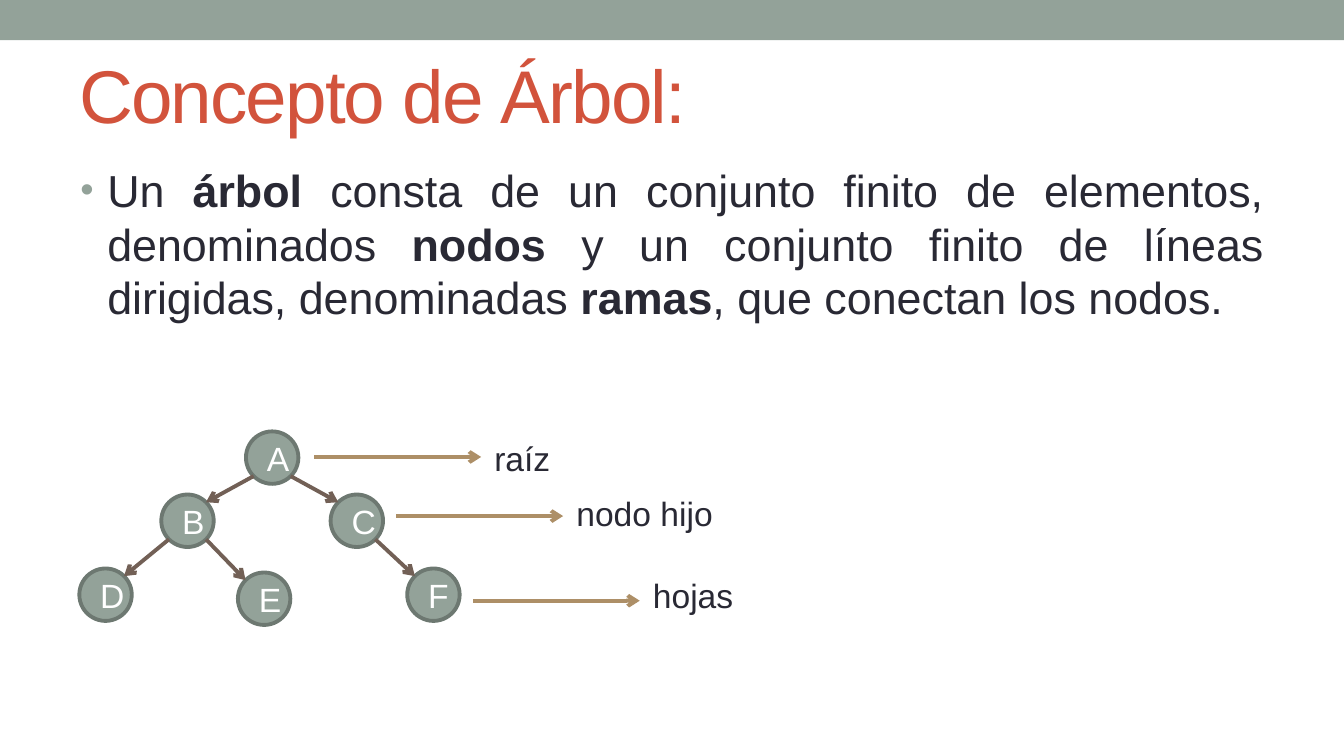
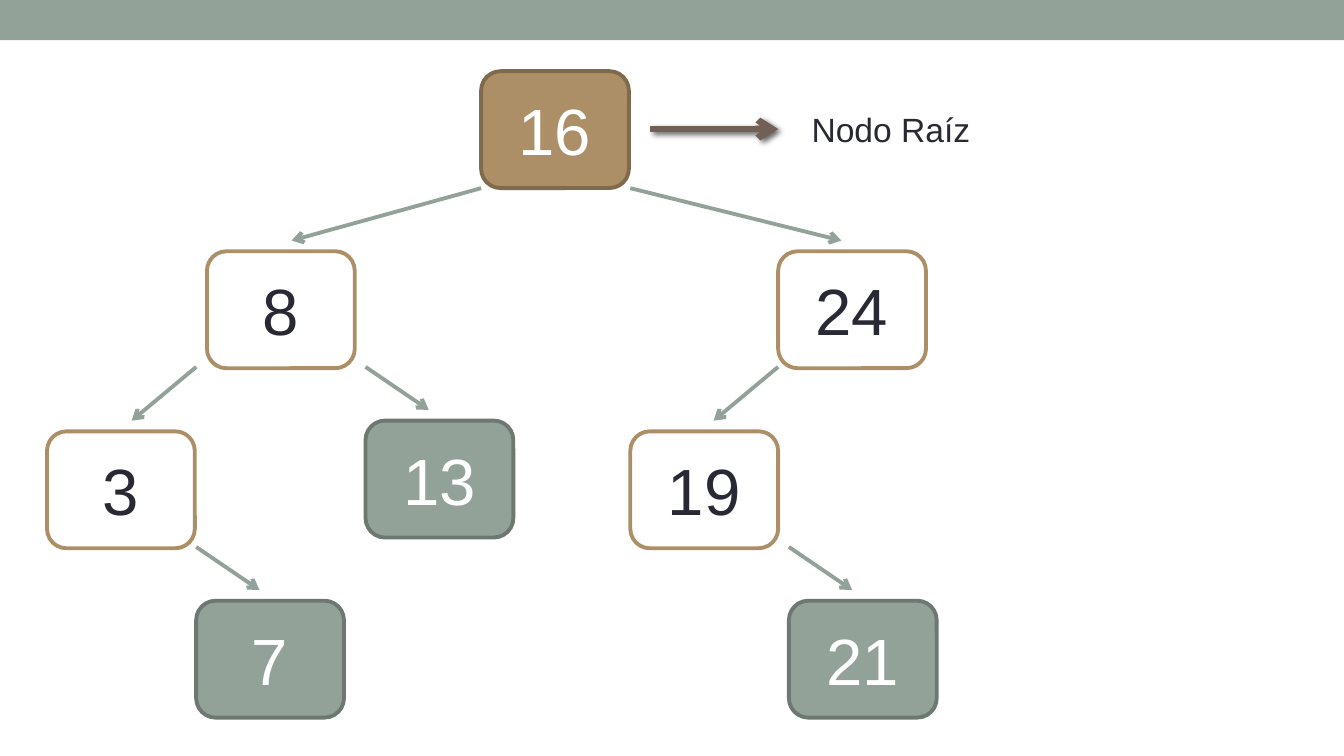
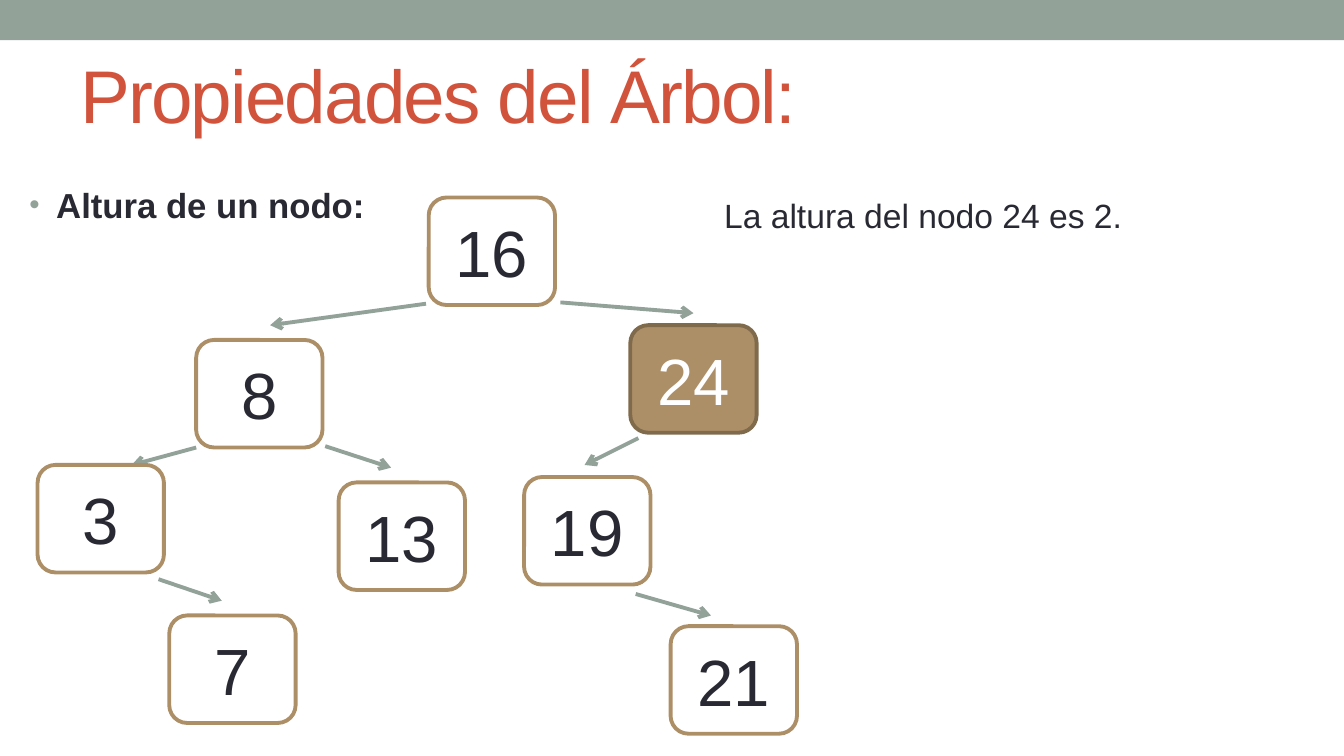
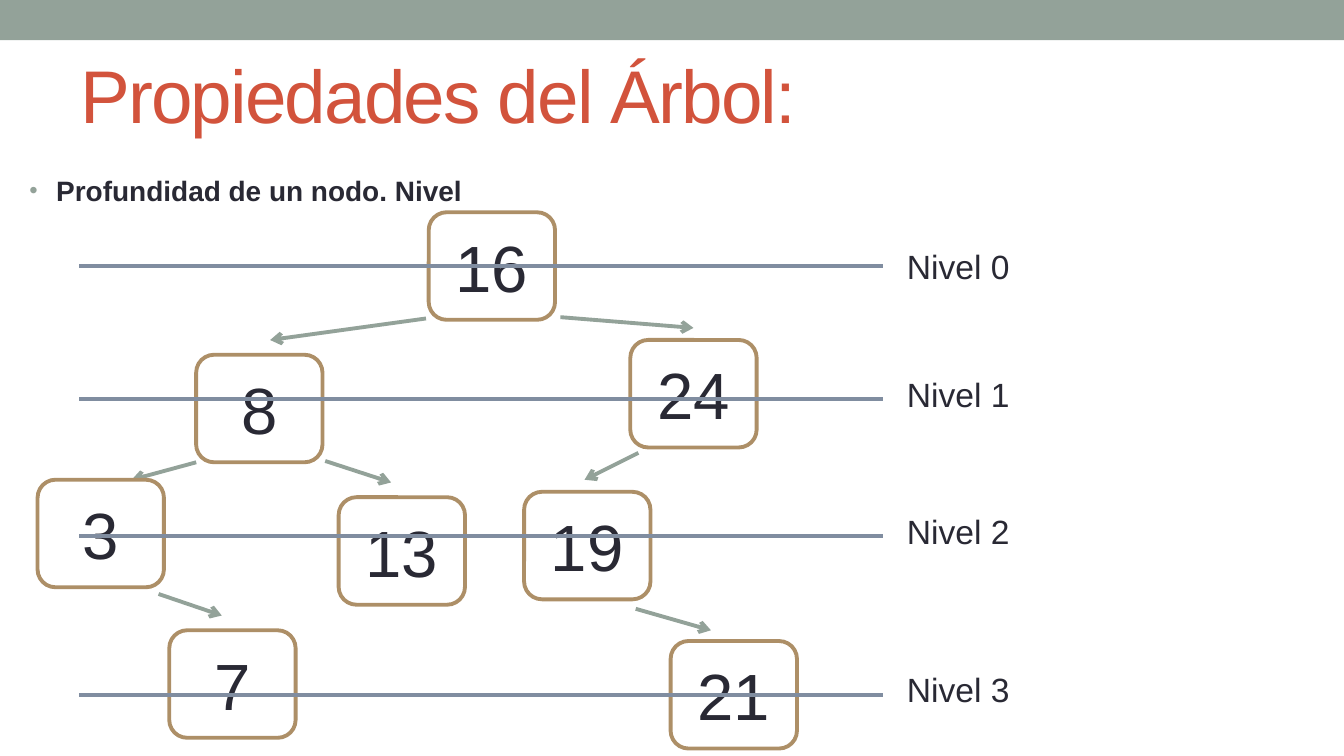
from dataclasses import dataclass
from math import sqrt

from lxml.etree import SubElement as Sub
from pptx import Presentation
from pptx.dml.color import RGBColor as Rgb
from pptx.enum.shapes import MSO_CONNECTOR as Link, MSO_SHAPE as Form
from pptx.enum.text import MSO_ANCHOR as Anchor, MSO_AUTO_SIZE as Fit, PP_ALIGN as Align
from pptx.oxml.ns import qn
from pptx.util import Inches, Pt


@dataclass(frozen=True)
class Theme:
    font: str = "Arial"
    sage: str = "93A299"
    moss: str = "6D7871"
    tan: str = "AD8F67"
    umber: str = "806A4C"
    brown: str = "726056"
    steel: str = "808DA0"
    red: str = "D2533C"
    ink: str = "292934"
    white: str = "FFFFFF"
    title: float = 40
    body: float = 24
    height: float = 18.6
    depth: float = 15
    node: float = 35
    label: float = 18
    stroke: float = 2.08
    thick: float = 3.5


T = Theme()
PLAIN = (T.white, T.tan, T.ink)
LEAF = (T.sage, T.moss, T.white)
FOCUS = (T.tan, T.umber, T.white)

TREE = {
    "16": (3.19, 1.47), "8": (1.46, 2.53), "24": (4.69, 2.42), "19": (3.9, 3.55),
    "21": (4.99, 4.66), "3": (0.28, 3.46), "7": (1.26, 4.58), "13": (2.52, 3.59),
}
EDGES = [
    (3.17, 2.26, 2.01, 2.42), (4.17, 2.25, 5.16, 2.33), (1.46, 3.33, 0.98, 3.46),
    (2.42, 3.32, 2.91, 3.48), (1.18, 4.31, 1.65, 4.47), (4.75, 3.26, 4.35, 3.46),
    (4.73, 4.42, 5.29, 4.58),
]


class Deck:
    def __init__(self):
        self.file = Presentation()
        self.file.slide_width = Inches(10)
        self.file.slide_height = Inches(10 * 9 / 16)
        self.slide = None

    def page(self, title=None, left=0.5):
        self.slide = self.file.slides.add_slide(self.file.slide_layouts[6])
        self.shape(Form.RECTANGLE, (0, 0, 10, 0.3), T.sage)
        if title:
            frame = self.text((left, 0.29, 9, 0.81), [(title, False)], T.title, T.red)
            frame.vertical_anchor = Anchor.MIDDLE
            run = frame.paragraphs[0].runs[0]
            run.font._element.set("spc", "-100")

    def shape(self, form, box, fill, line=None):
        item = self.slide.shapes.add_shape(form, *map(Inches, box))
        item.shadow.inherit = False
        item.fill.solid()
        item.fill.fore_color.rgb = Rgb.from_string(fill)
        if line:
            item.line.color.rgb = Rgb.from_string(line)
            item.line.width = Pt(T.stroke)
        else:
            item.line.fill.background()
        return item

    def style(self, para, size, color):
        para.font.name = T.font
        para.font.size = Pt(size)
        para.font.color.rgb = Rgb.from_string(color)

    def text(self, box, runs, size, color=T.ink, bullet=False):
        frame = self.slide.shapes.add_textbox(*map(Inches, box)).text_frame
        frame.word_wrap = True
        para = frame.paragraphs[0]
        for words, bold in runs:
            run = para.add_run()
            run.text = words
            if bold:
                run.font.bold = True
        if bullet:
            self.bullet(para)
        self.style(para, size, color)
        return frame

    def bullet(self, para):
        props = para._p.get_or_add_pPr()
        props.set("marL", str(Inches(0.2)))
        props.set("indent", str(Inches(-0.2)))
        Sub(Sub(props, qn("a:buClr")), qn("a:srgbClr"), val=T.sage)
        Sub(props, qn("a:buSzPct"), val="85000")
        Sub(props, qn("a:buFont"), typeface=T.font)
        Sub(props, qn("a:buChar"), char="•")

    def label(self, words, x, y, width=1.89):
        frame = self.text((x, y, width, 0.4), [(words, False)], T.label)
        frame.auto_size = Fit.SHAPE_TO_FIT_TEXT

    def node(self, words, box, look=PLAIN, form=Form.ROUNDED_RECTANGLE, size=T.node):
        fill, line, ink = look
        frame = self.shape(form, box, fill, line).text_frame
        frame.word_wrap = True
        frame.vertical_anchor = Anchor.MIDDLE
        para = frame.paragraphs[0]
        para.text = words
        para.alignment = Align.CENTER
        self.style(para, size, ink)

    def line(self, ends, color, width=T.stroke, arrow=True, shade=False):
        item = self.slide.shapes.add_connector(Link.STRAIGHT, *map(Inches, ends))
        item.line.color.rgb = Rgb.from_string(color)
        item.line.width = Pt(width)
        if arrow:
            Sub(item.line._get_or_add_ln(), qn("a:tailEnd"), type="arrow")
        fx = Sub(item._element.spPr, qn("a:effectLst"))
        if shade:
            cast = Sub(fx, qn("a:outerShdw"), blurRad=str(Pt(3)), dist=str(Pt(2)),
                       dir="2700000", rotWithShape="0")
            Sub(Sub(cast, qn("a:srgbClr"), val="000000"), qn("a:alpha"), val="60000")

    def tree(self, drop=0, focus=None):
        for x1, y1, x2, y2 in EDGES:
            self.line((x1, y1 + drop, x2, y2 + drop), T.sage)
        for key, (x, y) in TREE.items():
            look = FOCUS if key == focus else PLAIN
            self.node(key, (x, y + drop, 0.94, 0.8), look)


def concept(deck):
    deck.page("Concepto de Árbol:", 0.49)
    runs = [
        ("Un ", False), ("árbol ", True),
        ("consta de un conjunto finito de elementos, denominados ", False),
        ("nodos ", True),
        ("y un conjunto finito de líneas dirigidas, denominadas ", False),
        ("ramas", True), (", que conectan los nodos.", False),
    ]
    frame = deck.text((0.5, 1.16, 9, 1.81), runs, T.body, bullet=True)
    frame.paragraphs[0].alignment = Align.JUSTIFY
    spots = {"A": (1.83, 3.21), "B": (1.2, 3.68), "C": (2.46, 3.68),
             "D": (0.59, 4.23), "E": (1.77, 4.26), "F": (3.03, 4.23)}
    side = 0.39
    for key, spot in spots.items():
        deck.node(key, (*spot, side, side), LEAF, Form.OVAL, T.label)
    half = side / 2
    reach = half / sqrt(2)
    for top, low in ("AB", "AC", "BD", "BE", "CF"):
        (x1, y1), (x2, y2) = spots[top], spots[low]
        lean = reach if x2 > x1 else -reach
        deck.line((x1 + half + lean, y1 + half + reach,
                   x2 + half - lean, y2 + half - reach), T.brown)
    for words, x, y, top, width in [("raíz", 2.34, 3.4, 3.21, 1.1),
                                    ("nodo hijo", 2.95, 3.84, 3.62, 1.91),
                                    ("hojas", 3.52, 4.47, 4.23, 1.57)]:
        deck.line((x, y, x + 1.24, y), T.tan)
        deck.label(words, x + 1.24, top, width)


def root(deck):
    deck.page()
    for ends in [(3.58, 1.4, 2.17, 1.79), (4.69, 1.4, 6.26, 1.79),
                 (1.46, 2.73, 0.98, 3.13), (2.72, 2.73, 3.19, 3.05),
                 (1.46, 4.07, 1.93, 4.39), (5.79, 2.73, 5.31, 3.13),
                 (5.87, 4.07, 6.34, 4.39)]:
        deck.line(ends, T.sage)
    for words, x, y, look in [("16", 3.58, 0.53, FOCUS), ("8", 1.54, 1.87, PLAIN),
                              ("24", 5.79, 1.87, PLAIN), ("3", 0.35, 3.21, PLAIN),
                              ("13", 2.72, 3.13, LEAF), ("7", 1.46, 4.47, LEAF),
                              ("19", 4.69, 3.21, PLAIN), ("21", 5.87, 4.47, LEAF)]:
        deck.node(words, (x, y, 1.1, 0.87), look)
    deck.line((4.84, 0.96, 5.79, 0.96), T.brown, T.thick, shade=True)
    deck.label("Nodo Raíz", 5.94, 0.76)


def height(deck):
    deck.page("Propiedades del Árbol:")
    deck.text((0.12, 1.32, 2.79, 0.47), [("Altura de un nodo:", True)], T.height,
              bullet=True)
    deck.tree(focus="24")
    deck.label("La altura del nodo 24 es 2.", 5.29, 1.4, 4.43)


def depth(deck):
    deck.page("Propiedades del Árbol:")
    deck.text((0.12, 1.24, 3.62, 0.55), [("Profundidad de un nodo. Nivel", True)], T.depth,
              bullet=True)
    deck.tree(drop=0.11)
    rows = [(1.98, 1.78), (2.97, 2.73), (3.99, 3.75), (5.17, 4.93)]
    for rank, (y, top) in enumerate(rows):
        deck.line((0.59, y, 6.57, y), T.steel, arrow=False)
        deck.label(f"Nivel {rank}", 6.65, top)


def main():
    deck = Deck()
    for build in (concept, root, height, depth):
        build(deck)
    deck.file.save("out.pptx")


if __name__ == "__main__":
    main()
